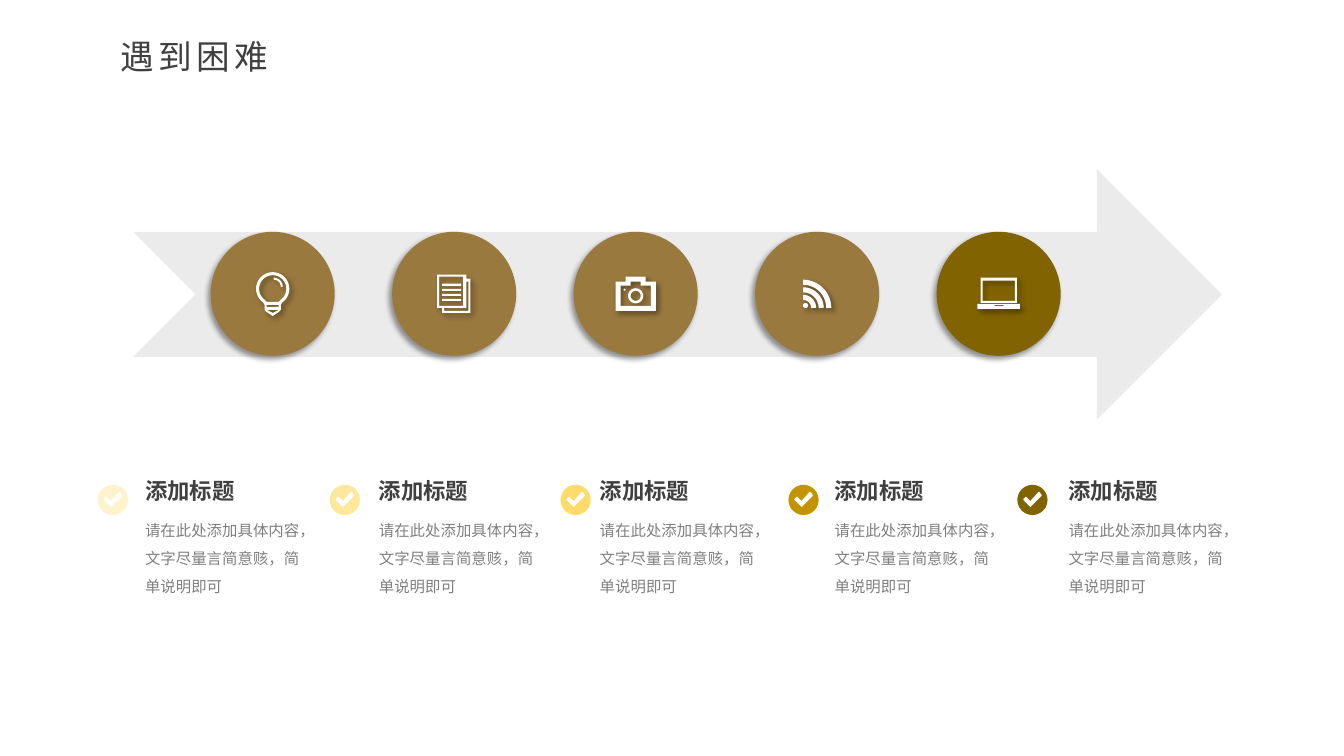
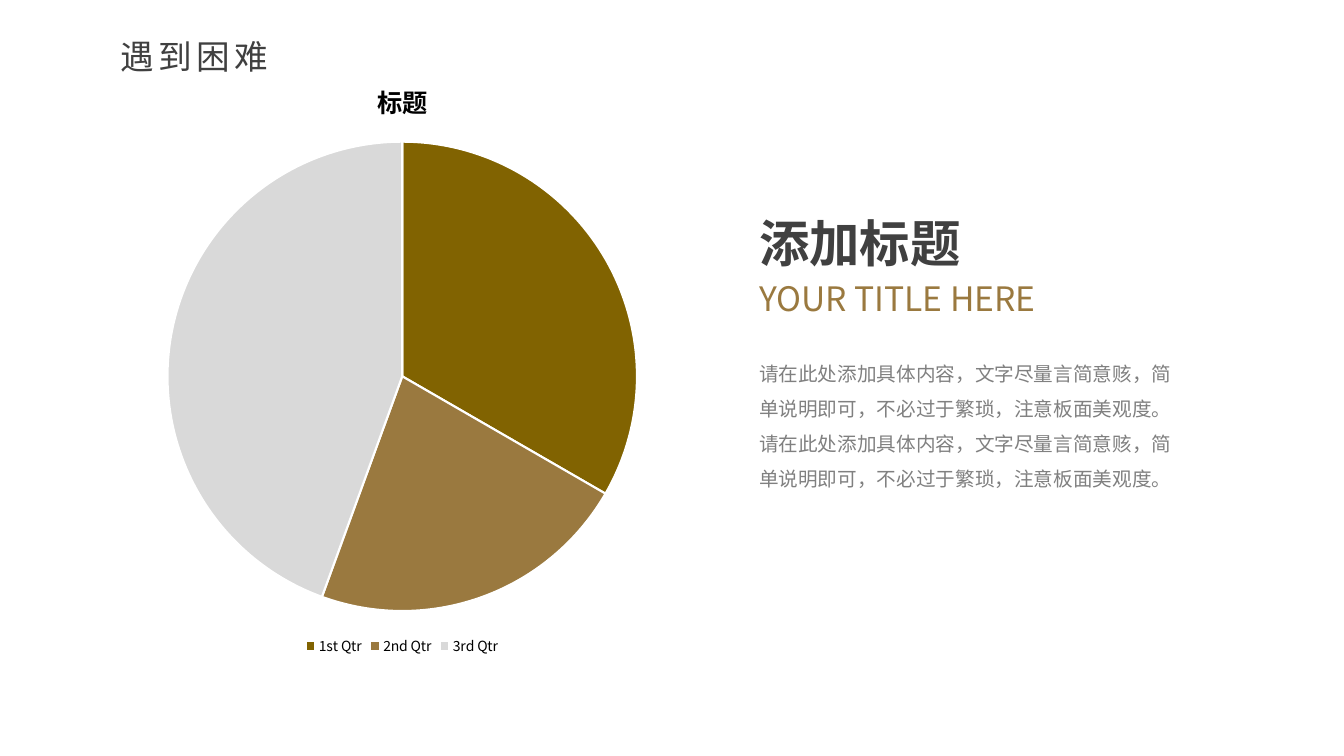
"""Build two slides: a five-step arrow and a pie chart with text."""
import math

from lxml import etree
from pptx import Presentation
from pptx import util as u
from pptx.chart.data import CategoryChartData
from pptx.dml.color import RGBColor
from pptx.enum import chart as ch, shapes, text
from pptx.oxml.ns import qn

FONT = "Noto Sans CJK SC"
DARK, GREY, LIGHT, WHITE = "404040", "808080", "D9D9D9", "FFFFFF"
BROWN, OLIVE = "9A793F", "816301"

TITLE = "遇到困难"
HEADING = "添加标题"
STEP_TEXT = "请在此处添加具体内容，文字尽量言简意赅，简单说明即可"
CHART_TEXT = (STEP_TEXT + "，不必过于繁琐，注意板面美观度。") * 2
PIE = [("1st Qtr", 33, OLIVE), ("2nd Qtr", 22, BROWN), ("3rd Qtr", 44, LIGHT)]
STEPS = [
    (0.97, 1.34, "FFF3CD"),
    (3.27, 3.66, "FFE79B"),
    (5.56, 5.85, "FEDB6A"),
    (7.82, 8.18, "C29401"),
    (10.09, 10.5, OLIVE),
]
DISC_COLOURS = [BROWN] * 4 + [OLIVE]
DISC_LEFT, DISC_TOP, DISC, PITCH = 2.09, 2.3, 1.23, 1.8
TICK_TOP, TICK = 4.81, 0.3


def arc(cx, cy, r, start=0, end=360):
    """Return points along a circular arc, angles in degrees."""
    n = 32
    angles = [math.radians(start + (end - start) * i / n) for i in range(n + 1)]
    return [(cx + r * math.cos(a), cy + r * math.sin(a)) for a in angles]


def quarter(cx, cy, inner, outer):
    """Return a quarter ring running from the top to the right."""
    return arc(cx, cy, outer, -90, 0) + arc(cx, cy, inner, 0, -90)


def box(x1, y1, x2, y2):
    """Return the corners of a rectangle."""
    return [(x1, y1), (x2, y1), (x2, y2), (x1, y2)]


CHECK = [[(9, -4), (0, 5), (-2, 7), (-3, 6), (-9, 0), (-9, -1), (-7, -3),
          (-6, -3), (-2, 1), (6, -8), (7, -8), (9, -5)]]
BULB = [
    arc(0, -5, 16.5, 125, 415) + [(8, 11), (8, 16), (6, 18), (0, 22),
                                  (-6, 18), (-8, 16), (-8, 11)],
    arc(0, -5, 13.5, 125, 415) + [(6, 8), (-6, 8)],
    box(-6, 11, 6, 13),
    [(-6, 16), (6, 16), (0, 19)],
    quarter(1, -7, 7, 9),
]
PAGES = [
    [(-17, -19), (12, -19), (12, -15), (16, -15), (16, 19), (-12, 19),
     (-12, 14), (-17, 14)],
    box(-15, -17, 9, 12),
    [(14, -12), (14, 17), (-10, 17), (-10, 14), (12, 14), (12, -12)],
] + [box(-12, y, 7, y + 2) for y in range(-10, 10, 5)]
CAMERA = [
    [(-20, -12), (-10, -12), (-10, -17), (10, -17), (10, -12), (20, -12),
     (20, 17), (-20, 17)],
    [(-15, -8), (-5, -8), (-5, -12), (5, -12), (5, -8), (15, -8),
     (15, 12), (-15, 12)],
    arc(0, 2, 7.5),
    arc(0, 2, 5),
    arc(-11, -4, 1),
]
FEED = [quarter(-14, 14, r, r + 5) for r in (8, 15.5, 23)] + [arc(-11.5, 11.5, 2.5)]
LAPTOP = [box(-18, -16, 18, 9), box(-16, -13, 16, 7),
          box(-21, 10, 21, 15), box(-4, 11, 5, 12)]
ICONS = [BULB, PAGES, CAMERA, FEED, LAPTOP]


def rgb(value):
    """Turn a hex string into a colour."""
    return RGBColor.from_string(value)


def style(font, size, colour, bold=False):
    """Set size, colour and typeface of a font."""
    font.size, font.bold, font.name = u.Pt(size), bold, FONT
    font.color.rgb = rgb(colour)
    latin = font._element.find(qn("a:latin"))
    latin.addnext(etree.Element(qn("a:ea"), typeface=FONT))


def paint(sp, colour, alpha=None, shadow_angle=None):
    """Fill a shape without a line, with optional transparency and shadow."""
    sp.fill.solid()
    sp.fill.fore_color.rgb = rgb(colour)
    sp.line.fill.background()
    sp.shadow.inherit = False
    if alpha is not None:
        clr = sp._element.spPr.find(".//" + qn("a:srgbClr"))
        etree.SubElement(clr, qn("a:alpha"), val=str(alpha * 1000))
    if shadow_angle is not None:
        effects = sp._element.spPr.find(qn("a:effectLst"))
        shadow = etree.SubElement(
            effects, qn("a:outerShdw"), blurRad=str(u.Pt(4)), dist=str(u.Pt(3)),
            dir=str(shadow_angle * 60000), rotWithShape="0")
        clr = etree.SubElement(shadow, qn("a:srgbClr"), val="000000")
        etree.SubElement(clr, qn("a:alpha"), val="40000")


def add_preset(s, kind, x, y, w, h, colour, **look):
    """Add a painted preset shape."""
    sp = s.shapes.add_shape(kind, u.Inches(x), u.Inches(y), u.Inches(w), u.Inches(h))
    paint(sp, colour, **look)


def add_icon(s, contours, cx, cy, **look):
    """Draw contours, in hundredths of an inch, around a centre."""
    fb = None
    for contour in contours:
        pts = [(u.Inches(cx + x / 100), u.Inches(cy + y / 100)) for x, y in contour]
        if fb is None:
            fb = s.shapes.build_freeform(*pts[0], scale=1.0)
        else:
            fb.move_to(*pts[0])
        fb.add_line_segments(pts[1:], close=True)
    paint(fb.convert_to_shape(), WHITE, **look)


def add_text(s, x, y, w, h, words, size, colour, bold=False, spacing=None, inset=0.05):
    """Add a wrapped text box with one run."""
    tf = s.shapes.add_textbox(u.Inches(x), u.Inches(y), u.Inches(w), u.Inches(h)).text_frame
    tf.word_wrap = True
    tf.margin_top = tf.margin_bottom = u.Inches(inset)
    p = tf.paragraphs[0]
    p.line_spacing = spacing
    r = p.add_run()
    r.text = words
    style(r.font, size, colour, bold)


def add_titled_slide(prs):
    """Add a title-only slide with the shared title."""
    s = prs.slides.add_slide(prs.slide_layouts[5])
    sp = s.shapes.title
    sp.left, sp.top, sp.width, sp.height = map(u.Inches, (1.1, 0.31, 2.56, 0.5))
    tf = sp.text_frame
    tf.word_wrap = True
    tf.auto_size = text.MSO_AUTO_SIZE.NONE
    tf.vertical_anchor = text.MSO_ANCHOR.TOP
    p = tf.paragraphs[0]
    p.alignment = text.PP_ALIGN.JUSTIFY
    r = p.add_run()
    r.text = TITLE
    style(r.font, 24, DARK)
    r.font._element.set("spc", "300")
    return s


def build_steps(prs):
    """Build the arrow with five discs and their captions."""
    s = add_titled_slide(prs)
    oval = shapes.MSO_SHAPE.OVAL
    add_preset(s, shapes.MSO_SHAPE.NOTCHED_RIGHT_ARROW, 1.32, 1.68, 10.8, 2.48,
               LIGHT, alpha=50)
    for i, (colour, icon) in enumerate(zip(DISC_COLOURS, ICONS)):
        x = DISC_LEFT + i * PITCH
        add_preset(s, oval, x, DISC_TOP, DISC, DISC, colour, shadow_angle=135)
        add_icon(s, icon, x + DISC / 2, DISC_TOP + DISC / 2, shadow_angle=45)
    for tick_x, text_x, colour in STEPS:
        add_preset(s, oval, tick_x, TICK_TOP, TICK, TICK, colour)
        add_icon(s, CHECK, tick_x + TICK / 2, TICK_TOP + TICK / 2)
        add_text(s, text_x, 4.68, 1.19, 0.37, HEADING, 16, DARK, bold=True)
        add_text(s, text_x, 5.03, 1.84, 0.94, STEP_TEXT, 11, GREY, spacing=u.Pt(20))


def build_pie(prs):
    """Build the pie chart with its text."""
    s = add_titled_slide(prs)
    data = CategoryChartData()
    data.categories = [name for name, _, _ in PIE]
    data.add_series("Series 1", [value for _, value, _ in PIE])
    chart = s.shapes.add_chart(ch.XL_CHART_TYPE.PIE, u.Inches(0.86), u.Inches(0.58),
                               u.Inches(6.26), u.Inches(5.97), data).chart
    style(chart.font, 10, "000000")
    chart.has_title = True
    r = chart.chart_title.text_frame.paragraphs[0].add_run()
    r.text = "标题"
    style(r.font, 18, "000000", bold=True)
    chart.has_legend = True
    chart.legend.position = ch.XL_LEGEND_POSITION.BOTTOM
    chart.legend.include_in_layout = False
    plot = chart.plots[0]
    plot.vary_by_categories = True
    for i, (_, _, colour) in enumerate(PIE):
        fmt = plot.series[0].points[i].format
        fmt.fill.solid()
        fmt.fill.fore_color.rgb = rgb(colour)
        fmt.line.color.rgb = rgb(WHITE)
        fmt.line.width = u.Pt(1.5)
    add_text(s, 7.43, 2.1, 4.55, 0.61, HEADING, 36, DARK, bold=True, inset=0)
    add_text(s, 7.43, 2.71, 3.48, 0.52, "YOUR TITLE HERE", 24, BROWN)
    add_text(s, 7.43, 3.42, 4.34, 1.51, CHART_TEXT, 14, GREY, spacing=1.5)


def main():
    """Create and save the presentation."""
    prs = Presentation()
    prs.slide_width, prs.slide_height = u.Inches(13.33), u.Inches(7.5)
    build_steps(prs)
    build_pie(prs)
    prs.save("out.pptx")


if __name__ == "__main__":
    main()
